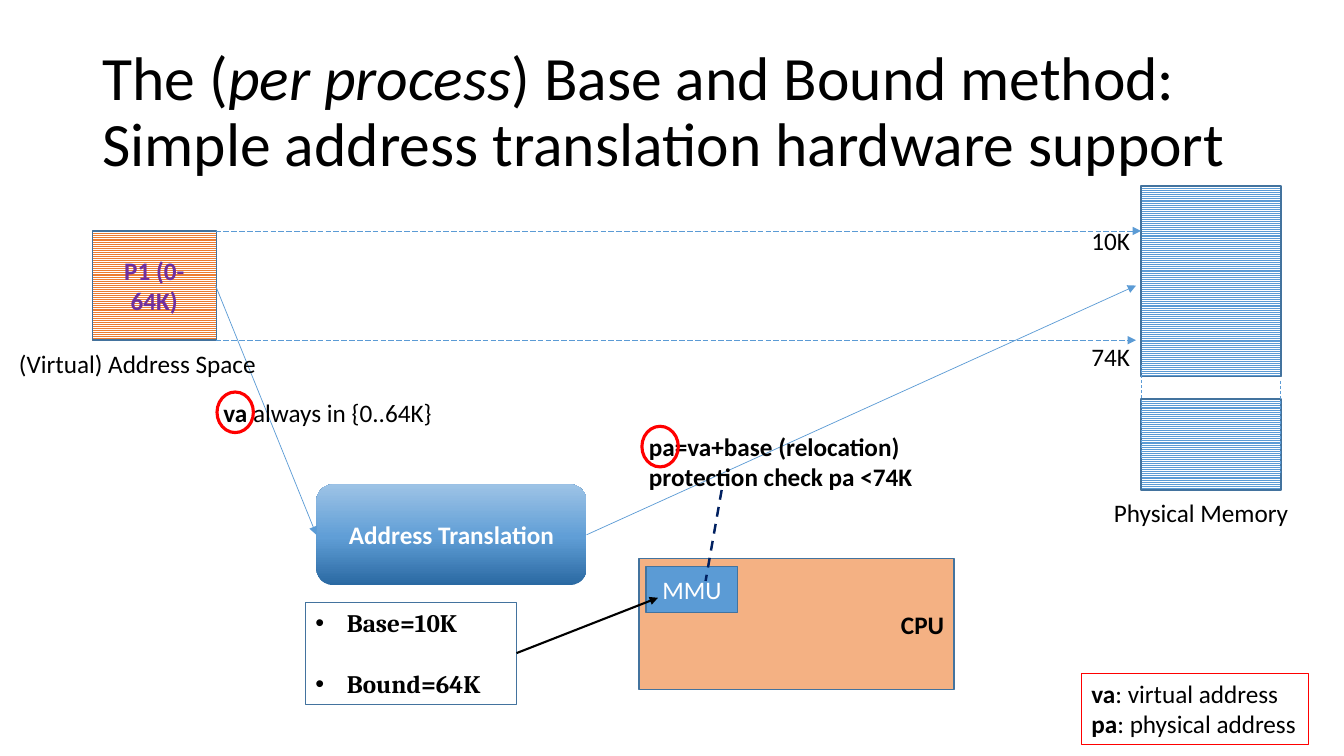
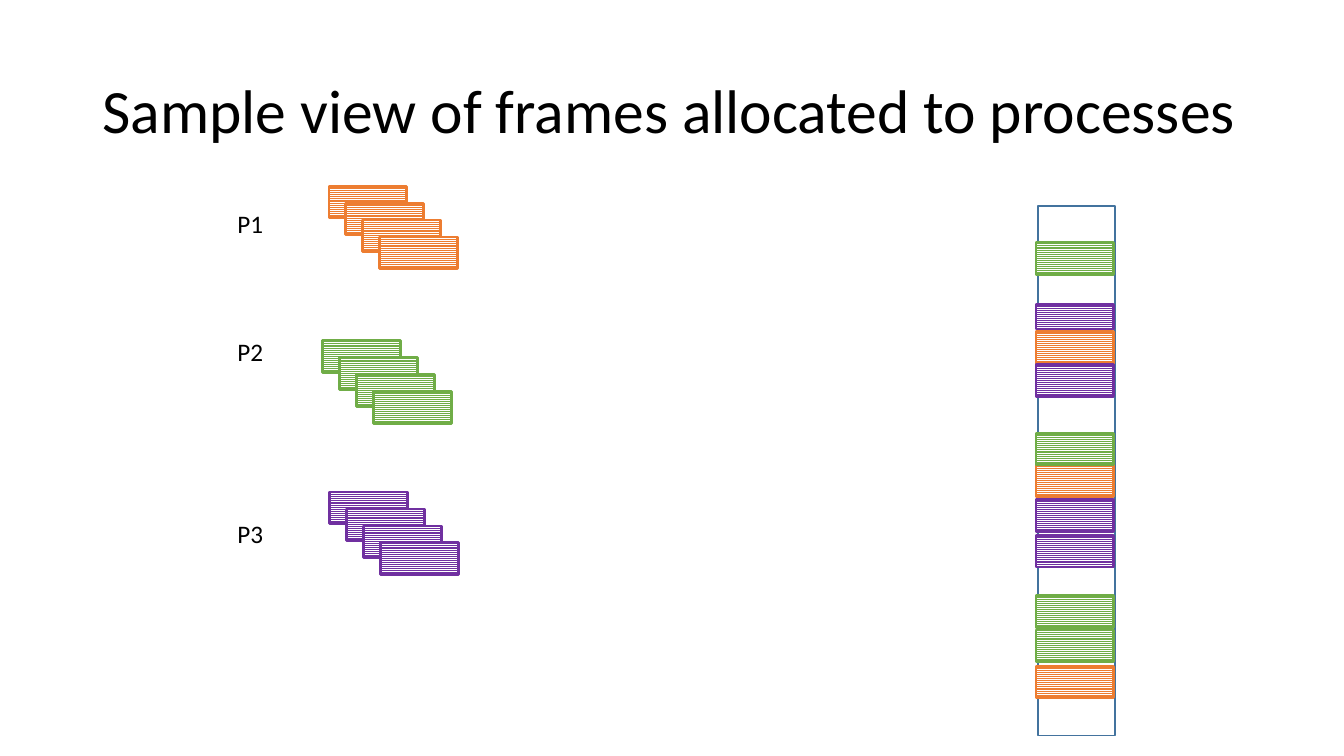
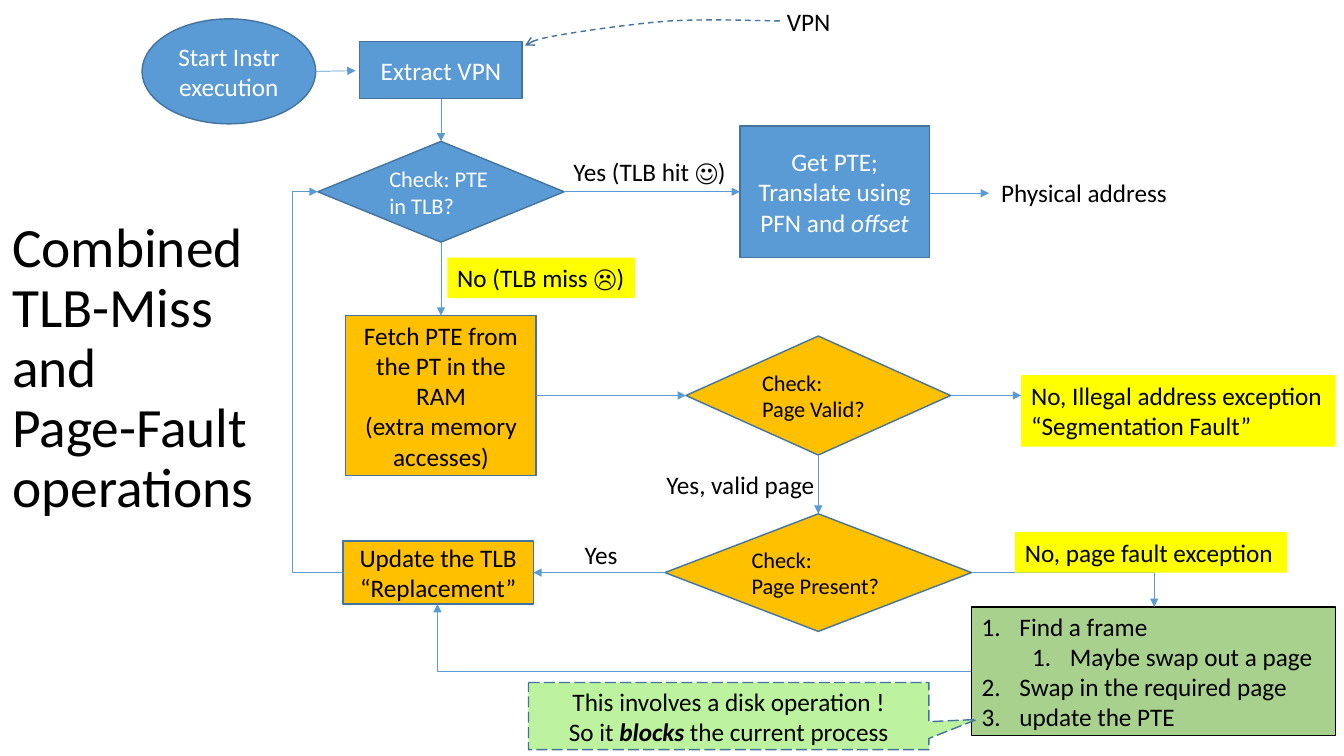
import copy

import lxml.etree
import pptx
from pptx.dml.color import RGBColor
from pptx.enum.dml import MSO_LINE, MSO_PATTERN
from pptx.enum.shapes import MSO_CONNECTOR, MSO_SHAPE
from pptx.enum.text import MSO_ANCHOR, MSO_AUTO_SIZE, PP_ALIGN
from pptx.oxml.ns import qn
from pptx.util import Pt

BLACK, WHITE, RED, YELLOW = "000000", "FFFFFF", "FF0000", "FFFF00"
BLUE, EDGE, ORANGE = "5B9BD5", "43739E", "ED7D31"
GREEN, PURPLE, GOLD = "70AD47", "7030A0", "FFC000"
LEFT, CENTER, RIGHT = PP_ALIGN.LEFT, PP_ALIGN.CENTER, PP_ALIGN.RIGHT
TITLE_AT = (66, 29, 828, 104.5)
TITLE_AND_BODY, TITLE_ONLY = 1, 5
TOP_SITE, LEFT_SITE, BOTTOM_SITE, RIGHT_SITE = range(4)


def rgb(color):
    return RGBColor.from_string(color)


def points(values):
    return [Pt(v) for v in values]


def place(sp, at):
    sp.left, sp.top, sp.width, sp.height = points(at)


def write(tf, text, size=18, color=BLACK, bold=False, emph="b", align=LEFT,
          font="Calibri"):
    """Fill a text frame; words between bars take the emphasis (b, i or bi)."""
    tf.text = "\n" * text.count("\n")
    for p, line in zip(tf.paragraphs, text.split("\n")):
        p.alignment = align
        for i, part in enumerate(line.split("|")):
            strong = i % 2 == 1
            for j, piece in enumerate(part.split("\v")):
                if j:
                    p.add_line_break()
                r = p.add_run()
                r.text = piece
                r.font.name, r.font.size = font, Pt(size)
                r.font.color.rgb = rgb(color)
                r.font.bold = bold or (strong and "b" in emph)
                r.font.italic = strong and "i" in emph


def stroke(line, color, width, dash=None):
    line.color.rgb = rgb(color)
    line.width = Pt(width)
    if dash:
        line.dash_style = dash


def paint(sp, fill=None, line=EDGE, width=1, dash=None):
    sp.shadow.inherit = False
    if fill:
        sp.fill.solid()
        sp.fill.fore_color.rgb = rgb(fill)
    else:
        sp.fill.background()
    if line:
        stroke(sp.line, line, width, dash)
    else:
        sp.line.fill.background()


def box(s, at, fill=None, line=EDGE, width=1, dash=None,
        kind=MSO_SHAPE.RECTANGLE, text=None, **style):
    sp = s.shapes.add_shape(kind, *points(at))
    paint(sp, fill, line, width, dash)
    if text:
        write(sp.text_frame, text, **style)
    return sp


def hatched(s, at, hatch, line=EDGE, width=1, **style):
    sp = box(s, at, None, line, width, **style)
    sp.fill.patterned()
    sp.fill.pattern = MSO_PATTERN.LIGHT_HORIZONTAL
    sp.fill.fore_color.rgb = rgb(hatch)
    sp.fill.back_color.rgb = rgb(WHITE)
    return sp


def shade(sp, stops):
    """Bottom-to-top gradient through three (position, colour) stops."""
    sp.fill.gradient()
    sp.fill.gradient_angle = 90
    gs_list = sp.element.spPr.find(".//" + qn("a:gsLst"))
    gs_list.insert(1, copy.deepcopy(gs_list[0]))
    for stop, (position, color) in zip(sp.fill.gradient_stops, stops):
        stop.position = position
        stop.color.rgb = rgb(color)


def label(s, at, text, fill=None, line=None, **style):
    sp = s.shapes.add_textbox(*points(at))
    paint(sp, fill, line, 0.75)
    sp.text_frame.word_wrap = False
    write(sp.text_frame, text, **style)
    return sp


def add_head(sp, kind="triangle"):
    ln = sp.element.spPr.get_or_add_ln()
    lxml.etree.SubElement(ln, qn("a:tailEnd")).set("type", kind)


def connector(s, start, end, color=BLUE, width=0.5, dash=None, head=True,
              kind=MSO_CONNECTOR.STRAIGHT):
    c = s.shapes.add_connector(kind, *points(start + end))
    stroke(c.line, color, width, dash)
    if head:
        add_head(c)
    lxml.etree.SubElement(c.element.spPr, qn("a:effectLst"))
    return c


def link(s, source, source_site, target, target_site):
    """Arrow glued to two shapes."""
    c = connector(s, (0, 0), (1, 1))
    c.begin_connect(source, source_site)
    c.end_connect(target, target_site)


def elbow(s, start, end, bend=None):
    """Arrow with one corner, or two when bend gives the turn as a share of the width."""
    c = connector(s, start, end, kind=MSO_CONNECTOR.ELBOW)
    geometry = c.element.spPr.find(qn("a:prstGeom"))
    if bend is None:
        geometry.set("prst", "bentConnector2")
    else:
        guides = geometry.find(qn("a:avLst"))
        guide = lxml.etree.SubElement(guides, qn("a:gd"))
        guide.set("name", "adj1")
        guide.set("fmla", f"val {round(bend * 100000)}")


def curve(s, start, segments, steps=8):
    """Dashed open arrow along cubic Bezier segments."""
    track = []
    here = start
    for a, b, end in segments:
        for k in range(1, steps + 1):
            t = k / steps
            u = 1 - t
            track.append(tuple(
                Pt(u**3 * p0 + 3 * u * u * t * p1 + 3 * u * t * t * p2 + t**3 * p3)
                for p0, p1, p2, p3 in zip(here, a, b, end)))
        here = end
    builder = s.shapes.build_freeform(*points(start), scale=1.0)
    builder.add_line_segments(track, close=False)
    sp = builder.convert_to_shape()
    paint(sp, dash=MSO_LINE.DASH)
    add_head(sp, "arrow")


def new_slide(prs, layout, title, size=44, at=None):
    s = prs.slides.add_slide(prs.slide_layouts[layout])
    sp = s.shapes.title
    if at:
        place(sp, at)
    tf = sp.text_frame
    write(tf, title, size, emph="i")
    tf.auto_size = MSO_AUTO_SIZE.NONE
    tf.vertical_anchor = MSO_ANCHOR.MIDDLE
    tf.paragraphs[0].line_spacing = 0.9
    return s


def bullet_list(s, at, items, marker, indent, gap=0, anchor=MSO_ANCHOR.TOP, **style):
    """Fill the body with (level, text) items; marker is a bullet, or None for numbers."""
    sp = s.placeholders[1]
    place(sp, at)
    tf = sp.text_frame
    write(tf, "\n".join(text for _, text in items), **style)
    tf.auto_size = MSO_AUTO_SIZE.NONE
    tf.vertical_anchor = anchor
    for i, (p, (level, _)) in enumerate(zip(tf.paragraphs, items)):
        p.level = level
        p.space_before = Pt(gap if i else 0)
        pPr = p._p.get_or_add_pPr()
        pPr.set("marL", str(Pt(indent + 36 * level)))
        pPr.set("indent", str(-Pt(indent)))
        if marker:
            lxml.etree.SubElement(pPr, qn("a:buFont")).set("typeface", "Arial")
            lxml.etree.SubElement(pPr, qn("a:buChar")).set("char", marker)
        else:
            lxml.etree.SubElement(pPr, qn("a:buFont")).set("typeface", "+mj-lt")
            lxml.etree.SubElement(pPr, qn("a:buAutoNum")).set("type", "arabicPeriod")
    return sp


def base_and_bound(prs):
    s = new_slide(prs, TITLE_AND_BODY,
                  "The (|per process|) Base and Bound method:\v"
                  "Simple address translation hardware support")
    hatched(s, (66, 165, 88.5, 78), ORANGE, text="P1 (0-64K)",
            color=PURPLE, bold=True, align=CENTER)
    translation = box(s, (226, 346, 193, 72), line=None,
                      kind=MSO_SHAPE.ROUNDED_RECTANGLE, text="Address Translation",
                      color=WHITE, bold=True, align=CENTER)
    shade(translation, [(0, "2A69A2"), (0.48, "609ED6"), (1, "9DC3E6")])
    connector(s, (154, 204), (226, 382))
    label(s, (152.5, 280, 164, 29), "|va| always in {0..64K}")

    for top, height in ((133, 136), (285, 65)):
        hatched(s, (815, top, 100, height), BLUE)
    for x, top in ((815, 261), (914.5, 272)):
        connector(s, (x, top), (x, top + 66), dash=MSO_LINE.DASH, head=False)
    for y, end in ((243, 811.5), (165, 815)):
        connector(s, (154, y), (end, y), dash=MSO_LINE.LONG_DASH)
    for top, text in ((157.5, "10K"), (240.5, "74K")):
        label(s, (772.5, top, 42.5, 29), text)

    connector(s, (419, 382), (811.5, 204))
    label(s, (456.5, 304.5, 225, 73),
          "pa=va+base (relocation)\nprotection check pa <74K", bold=True)
    box(s, (456.5, 399, 225, 93.5), "F4B183", text="CPU", bold=True, align=RIGHT)
    box(s, (461.5, 404.5, 65.5, 33), BLUE, text="MMU", color=WHITE, align=CENTER)
    registers = bullet_list(s, (218, 430.5, 151, 73),
                            [(0, "Base=10K"), (0, "Bound=64K")], "•", 22.5, gap=22,
                            bold=True, font="Cambria")
    paint(registers, width=0.75)
    connector(s, (369, 466.5), (470, 427), BLACK, 1.5)
    connector(s, (515.5, 350), (504, 415), "002060", 1.75, MSO_LINE.DASH, head=False)

    label(s, (788.5, 352, 140.5, 29), "Physical Memory")
    label(s, (6.5, 245, 186, 29), "(Virtual) Address Space")
    label(s, (772.5, 481, 162, 51), "|va|: virtual address\n|pa|: physical address",
          line=RED)
    for left, top in ((155, 280), (458.5, 304.5)):
        box(s, (left, top, 26, 29), line=RED, width=2.25, kind=MSO_SHAPE.OVAL)


def allocated_frames(prs):
    s = new_slide(prs, TITLE_ONLY, "Sample view of frames allocated to processes")
    width, height, step = 55.5, 22.5, 12.1
    box(s, (741.5, 147, 55, 378.5))
    processes = [
        ("P1", 145.5, ORANGE, 235, 133, (476, 332, 237)),
        ("P2", 237, GREEN, 230.5, 243.5, (425.5, 309.5, 173.5, 450)),
        ("P3", 367, PURPLE, 235.5, 351.5, (357, 217.5, 382.5, 260.5)),
    ]
    for name, name_top, color, left, top, memory_tops in processes:
        label(s, (162.5, name_top, 33, 29), name)
        for i in range(4):
            hatched(s, (left + i * step, top + i * step, width, height),
                    color, color, 2)
        for memory_top in memory_tops:
            frame_height = 17.5 if memory_top == 217.5 else height
            hatched(s, (740, memory_top, width, frame_height), color, color, 2)


def tlb_and_page_fault(prs):
    s = new_slide(prs, TITLE_AND_BODY,
                  "Combined\vTLB-Miss\vand\vPage-Fault\voperations",
                  39.6, (1.5, 162, 222, 204))
    diamond = MSO_SHAPE.DIAMOND
    on_blue = {"color": WHITE, "align": CENTER}

    box(s, (101.5, 13.5, 124, 75), BLUE, kind=MSO_SHAPE.OVAL,
        text="Start Instr execution", **on_blue)
    extract = box(s, (257, 29.5, 116, 41), BLUE, text="Extract VPN", **on_blue)
    in_tlb = box(s, (227, 101, 176, 72), BLUE, kind=diamond,
                 text="Check: PTE in TLB?", size=16, color=WHITE)
    get_pte = box(s, (528.5, 90, 135.5, 94), BLUE,
                  text="Get PTE;\nTranslate using PFN and |offset|", emph="i", **on_blue)
    fetch = box(s, (247, 225.5, 136, 114), GOLD, align=CENTER,
                text="Fetch PTE from the PT in the RAM\n(extra memory accesses)")
    valid = box(s, (490, 240, 189, 85), GOLD, kind=diamond,
                text="Check:\vPage Valid?", size=16)
    present = box(s, (475, 367, 219, 84), GOLD, kind=diamond,
                  text="Check:\vPage Present?", size=16)
    update = box(s, (245, 386.5, 136, 45), GOLD, align=CENTER,
                 text="Update the TLB “Replacement”")

    link(s, extract, BOTTOM_SITE, in_tlb, TOP_SITE)
    link(s, in_tlb, RIGHT_SITE, get_pte, LEFT_SITE)
    link(s, in_tlb, BOTTOM_SITE, fetch, TOP_SITE)
    link(s, fetch, RIGHT_SITE, valid, LEFT_SITE)
    link(s, valid, BOTTOM_SITE, present, TOP_SITE)
    link(s, present, LEFT_SITE, update, RIGHT_SITE)
    connector(s, (225.5, 51), (254, 50.5))
    connector(s, (664, 138), (706.5, 138))
    connector(s, (679, 282.5), (729.5, 282.5))
    elbow(s, (245, 409), (227, 137), bend=2)
    elbow(s, (694, 409), (824.5, 433.5))
    elbow(s, (694, 479.5), (312.5, 431.5))
    curve(s, (557, 15), [((531, 14.5), (505, 13.5), (478, 15)),
                         ((452, 17), (417, 22), (400, 25)),
                         ((382, 28), (379, 30), (375, 32.5))])

    for at, text, fill in [
        ((555, 1, 46, 29), "VPN", None),
        ((708, 123, 134, 29), "Physical address", None),
        ((402.5, 108, 123, 29), "Yes (TLB hit ☺)", None),
        ((319.5, 184, 134, 29), "No (TLB miss ☹)", YELLOW),
        ((469, 332, 121.5, 29), "Yes, valid page", None),
        ((729.5, 268, 224.5, 51),
         "No, Illegal address exception\n“Segmentation Fault”", YELLOW),
        ((410.5, 381.5, 38, 29), "Yes", None),
        ((725, 380, 194.5, 29), "No, page fault exception", YELLOW),
    ]:
        label(s, at, text, fill)

    steps = bullet_list(s, (694, 433.5, 260, 92),
                        [(0, "Find a frame"), (1, "Maybe swap out a page"),
                         (0, "Swap in the required page"), (0, "update the PTE")],
                        None, 27, anchor=MSO_ANCHOR.MIDDLE)
    paint(steps, "A9D18E", BLACK)
    callout = box(s, (377.5, 487.5, 286, 48), "BDF39F", dash=MSO_LINE.LONG_DASH,
                  kind=MSO_SHAPE.RECTANGULAR_CALLOUT, align=CENTER, emph="bi",
                  text="This involves a disk operation !\n"
                       "So it |blocks| the current process")
    callout.adjustments[0], callout.adjustments[1] = 0.62, 0.05


def main():
    prs = pptx.Presentation()
    prs.slide_width, prs.slide_height = Pt(960), Pt(540)
    place(prs.slide_master.placeholders[0], TITLE_AT)
    base_and_bound(prs)
    allocated_frames(prs)
    tlb_and_page_fault(prs)
    prs.save("out.pptx")


if __name__ == "__main__":
    main()
